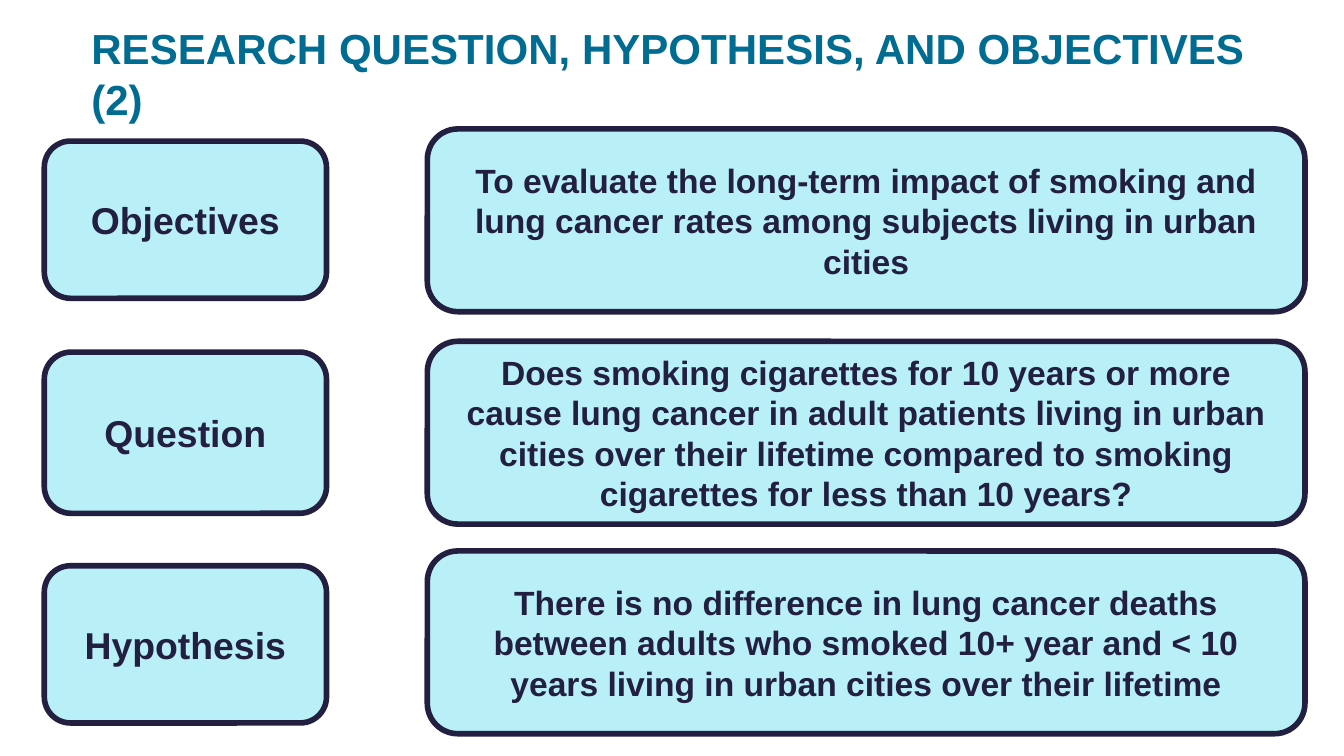
"""Build the slide that pairs objectives, question and hypothesis with their statements."""
import pptx
import pptx.dml.color
import pptx.enum.shapes
import pptx.enum.text
import pptx.util

Inches = pptx.util.Inches
Pt = pptx.util.Pt
RGBColor = pptx.dml.color.RGBColor
ALIGN = pptx.enum.text.PP_ALIGN

COLORS = {"background": "FFFFFF", "title": "006C92", "box": "B9F0F7", "ink": "221F41"}


def fill_shape(shape, color):
    shape.fill.solid()
    shape.fill.fore_color.rgb = RGBColor.from_string(COLORS[color])


def write_text(shape, text, size, color, alignment):
    frame = shape.text_frame
    frame.word_wrap = True
    frame.auto_size = pptx.enum.text.MSO_AUTO_SIZE.NONE
    frame.vertical_anchor = pptx.enum.text.MSO_ANCHOR.MIDDLE
    paragraph = frame.paragraphs[0]
    paragraph.alignment = alignment
    run = paragraph.add_run()
    run.text = text
    font_format = {"name": "Arial", "size": Pt(size), "bold": True}
    for name, value in font_format.items():
        setattr(run.font, name, value)
    run.font.color.rgb = RGBColor.from_string(COLORS[color])


presentation = pptx.Presentation()
presentation.slide_width = Inches(10)
presentation.slide_height = Inches(10) * 9 // 16
slide = presentation.slides.add_slide(presentation.slide_layouts[5])

title = slide.shapes.title
title_place = {"left": 0.18, "top": 0.21, "width": 9.53, "height": 0.67}
for name, value in title_place.items():
    setattr(title, name, Inches(value))
title_margins = {"margin_left": 0.5, "margin_top": 0, "margin_right": 0, "margin_bottom": 0}
for name, value in title_margins.items():
    setattr(title.text_frame, name, Inches(value))
fill_shape(title, "background")
write_text(title, "RESEARCH QUESTION, HYPOTHESIS, AND OBJECTIVES (2)", 22.5, "title", ALIGN.LEFT)

rows = [
    ("Objectives", 1.05, 1.17, 0.96,
     "To evaluate the long-term impact of smoking and lung cancer rates among "
     "subjects living in urban cities"),
    ("Question", 2.62, 1.2, 2.54,
     "Does smoking cigarettes for 10 years or more cause lung cancer in adult "
     "patients living in urban cities over their lifetime compared to smoking "
     "cigarettes for less than 10 years?"),
    ("Hypothesis", 4.21, 1.17, 4.1,
     "There is no difference in lung cancer deaths between adults who smoked 10+ "
     "year and < 10 years living in urban cities over their lifetime"),
]

for label, label_top, label_height, statement_top, statement in rows:
    boxes = [
        (label, 20, 0.33, label_top, 2.1, label_height),
        (statement, 18, 3.18, statement_top, 6.53, 1.36),
    ]
    for text, size, *place in boxes:
        box = slide.shapes.add_shape(
            pptx.enum.shapes.MSO_SHAPE.ROUNDED_RECTANGLE, *map(Inches, place))
        box.shadow.inherit = False
        fill_shape(box, "box")
        box.line.color.rgb = RGBColor.from_string(COLORS["ink"])
        box.line.width = Pt(3)
        write_text(box, text, size, "ink", ALIGN.CENTER)

presentation.save("out.pptx")
